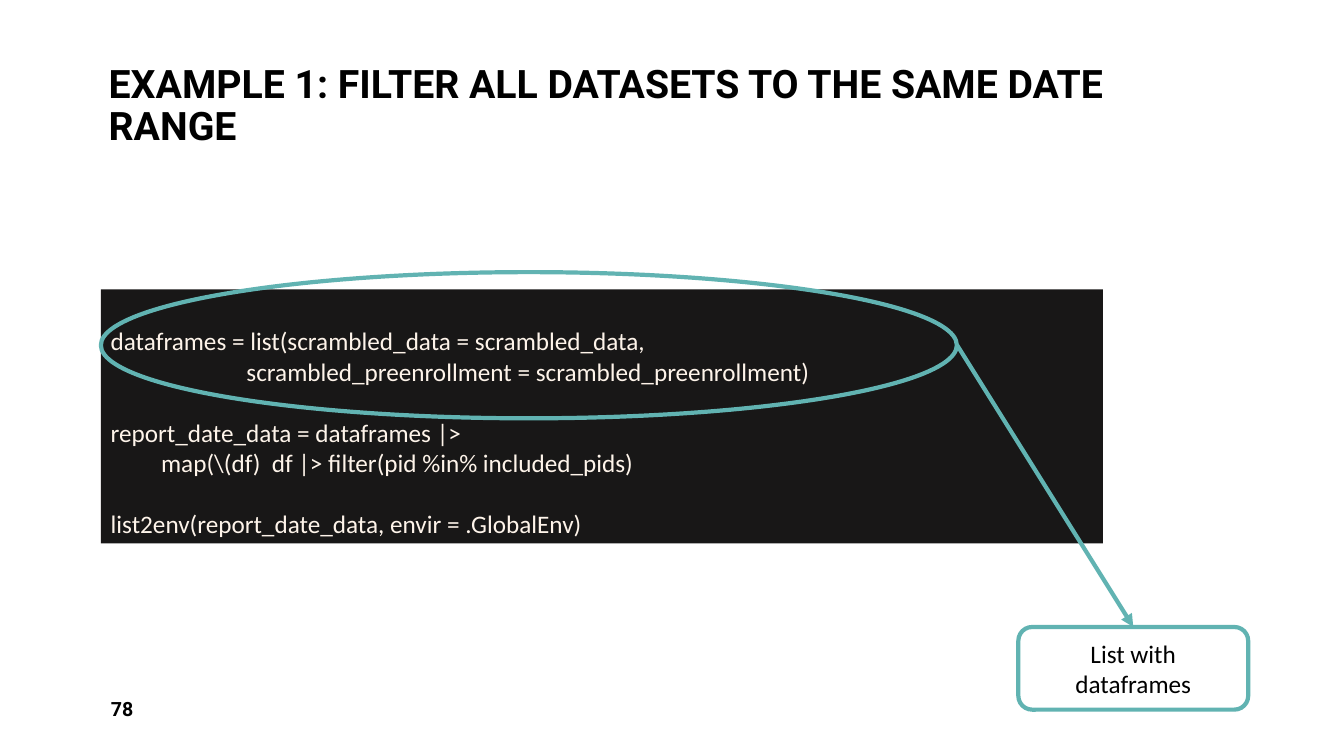
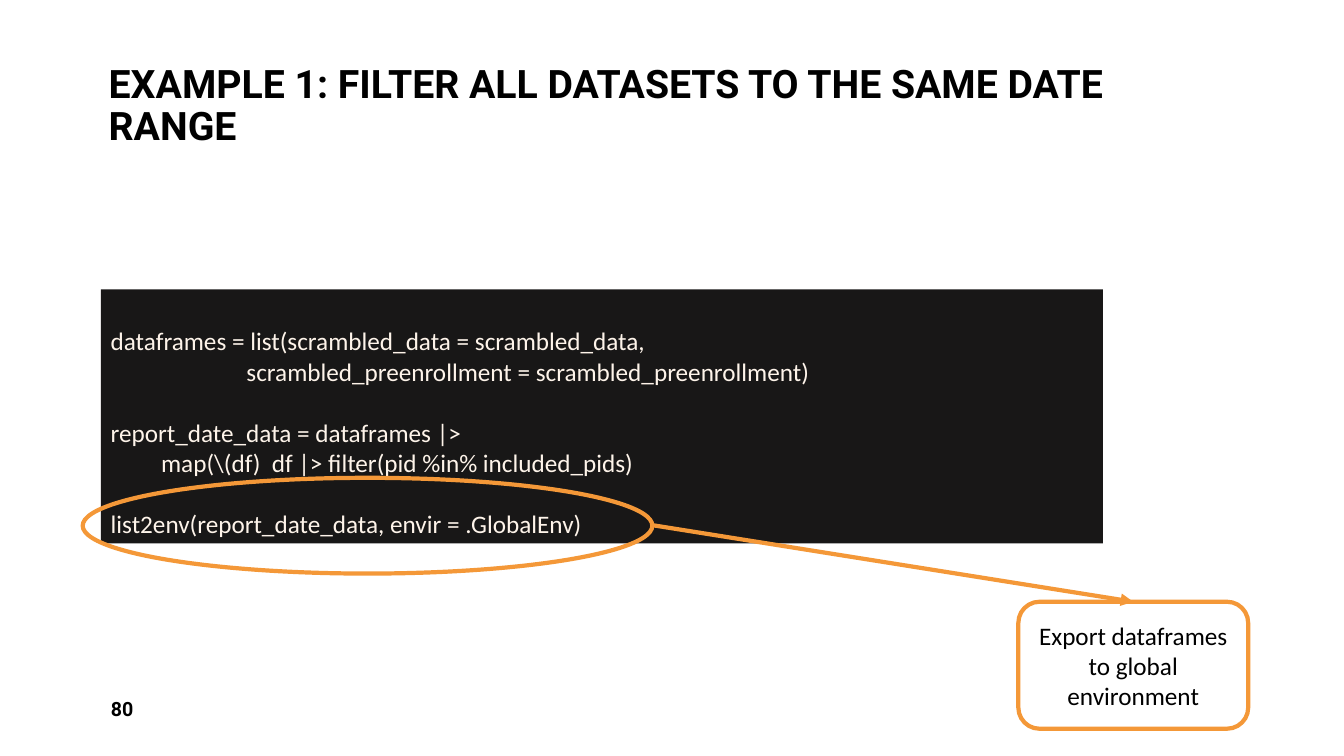
"""Build two slides that explain one code listing with a ring, an arrow and a callout."""
from lxml import etree
from pptx import Presentation
from pptx.dml.color import RGBColor
from pptx.enum.shapes import MSO_CONNECTOR, MSO_SHAPE
from pptx.enum.text import MSO_ANCHOR as ANCHOR, PP_ALIGN as ALIGN
from pptx.oxml.ns import qn
from pptx.util import Pt

PX = 9144
BLACK = RGBColor(0x00, 0x00, 0x00)
INK = RGBColor(0x18, 0x17, 0x17)
CREAM = RGBColor(0xFE, 0xF4, 0xEA)
TEAL = RGBColor(0x61, 0xB3, 0xB2)
ORANGE = RGBColor(0xF4, 0x98, 0x38)

TITLE = {"name": "Roboto", "size": Pt(28), "bold": True}
NUMBER = {"name": "Roboto", "size": Pt(14), "bold": True}
BODY = {"name": "Calibri", "size": Pt(18)}

HEADING = "EXAMPLE 1: FILTER ALL DATASETS TO THE SAME DATE RANGE"
CODE = [
    ["dataframes = list(scrambled_data = scrambled_data,",
     "\t               scrambled_preenrollment = scrambled_preenrollment)"],
    ["report_date_data = dataframes |>",
     "\tmap(\\(df)  df |> filter(pid %in% included_pids)"],
    ["list2env(report_date_data, envir = .GlobalEnv)"],
]
SLIDES = [
    ("78", TEAL, (100, 270, 849, 145), (1010, 622, 228, 82), "List with dataframes"),
    ("80", ORANGE, (82, 474, 565, 95), (1010, 597, 228, 126),
     "Export dataframes to global environment"),
]


def add_box(s, box, kind=None, fill=None, line=None):
    box = [v * PX for v in box]
    if kind is None:
        return s.shapes.add_textbox(*box)
    sp = s.shapes.add_shape(kind, *box)
    sp.shadow.inherit = False
    if fill is None:
        sp.fill.background()
    else:
        sp.fill.solid()
        sp.fill.fore_color.rgb = fill
    if line is None:
        sp.line.fill.background()
    else:
        sp.line.color.rgb = line
        sp.line.width = Pt(3)
    return sp


def write(sp, lines, style, color, anchor, align=ALIGN.LEFT):
    tf = sp.text_frame
    tf.word_wrap = True
    tf.vertical_anchor = anchor
    for i, line in enumerate(lines):
        p = tf.add_paragraph() if i else tf.paragraphs[0]
        p.alignment = align
        r = p.add_run()
        r.text = line
        for key, value in style.items():
            setattr(r.font, key, value)
        r.font.color.rgb = color
    return tf.paragraphs


prs = Presentation()
prs.slide_width, prs.slide_height = 1333 * PX, 750 * PX

for number, accent, ring, callout, label in SLIDES:
    s = prs.slides.add_slide(prs.slide_layouts[6])

    title = write(add_box(s, (98, 8, 1138, 145)), [HEADING], TITLE, BLACK, ANCHOR.BOTTOM)
    title[0].line_spacing = 0.9
    write(add_box(s, (100, 683, 292, 40)), [number], NUMBER, BLACK, ANCHOR.MIDDLE)

    panel = add_box(s, (100, 287, 994, 252), MSO_SHAPE.RECTANGLE, fill=INK)
    lines = [line for block in CODE for line in block]
    paragraphs = write(panel, lines, BODY, CREAM, ANCHOR.BOTTOM)
    start = 0
    for block in CODE[:-1]:
        start += len(block)
        paragraphs[start].space_before = Pt(22)

    add_box(s, ring, MSO_SHAPE.OVAL, line=accent)

    x, y, w, h = ring
    left, top, width, _ = callout
    ends = (x + w, y + h // 2, left + width // 2, top)
    arrow = s.shapes.add_connector(MSO_CONNECTOR.STRAIGHT, *[v * PX for v in ends])
    arrow.line.color.rgb = accent
    arrow.line.width = Pt(3)
    etree.SubElement(arrow.line._get_or_add_ln(), qn("a:tailEnd"), type="triangle")
    etree.SubElement(arrow._element.spPr, qn("a:effectLst"))

    sp = add_box(s, callout, MSO_SHAPE.ROUNDED_RECTANGLE, line=accent)
    write(sp, [label], BODY, BLACK, ANCHOR.MIDDLE, ALIGN.CENTER)

prs.save("out.pptx")
